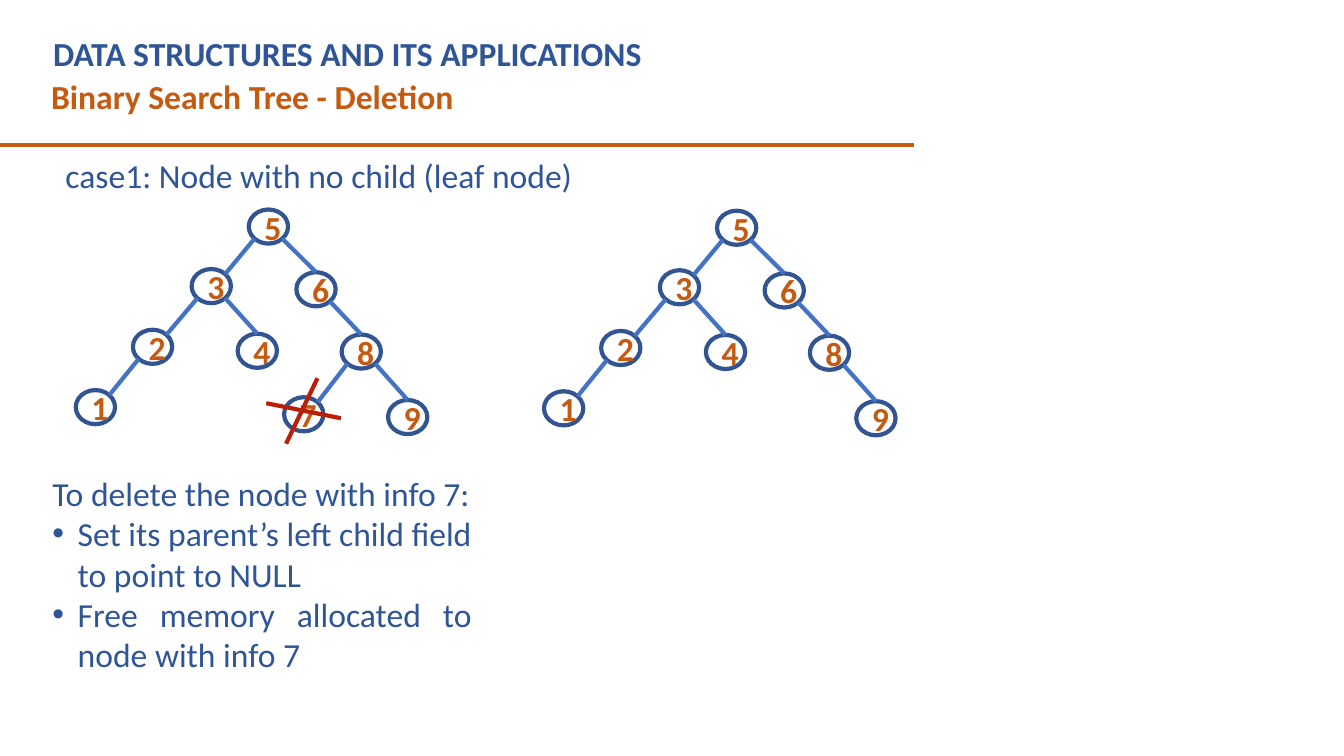
from lxml import etree
from pptx import Presentation
from pptx.dml.color import RGBColor
from pptx.enum.shapes import MSO_CONNECTOR, MSO_SHAPE
from pptx.enum.text import MSO_ANCHOR, PP_ALIGN
from pptx.oxml.ns import qn
from pptx.util import Cm, Pt

STRAIGHT = MSO_CONNECTOR.STRAIGHT
OVAL = MSO_SHAPE.OVAL
MIDDLE = MSO_ANCHOR.MIDDLE
LEFT, CENTER, JUSTIFY = PP_ALIGN.LEFT, PP_ALIGN.CENTER, PP_ALIGN.JUSTIFY

BLUE, ORANGE, RED = "2F5597", "C55A11", "B81F06"
NODE_LINE, EDGE = "325491", "4472C4"
NODE_WIDTH, NODE_HEIGHT = 0.99, 0.86
DIAGONAL = 0.354  # share of the node size from its centre to a 45° point

deck = Presentation()
deck.slide_width, deck.slide_height = Cm(33.87), Cm(19.05)
page = deck.slides.add_slide(deck.slide_layouts[6])


def write(frame, text, color=BLUE, bold=False, align=LEFT, spacing=None,
          hanging=0, bullet=False, new=False):
    """Put text into the first paragraph of the frame, or into a new one."""
    para = frame.add_paragraph() if new else frame.paragraphs[0]
    para.alignment = align
    if spacing:
        para.line_spacing = spacing
    properties = para._p.get_or_add_pPr()
    if hanging:
        properties.set("marL", str(Cm(hanging)))
        properties.set("indent", str(-Cm(hanging)))
    if bullet:
        etree.SubElement(properties, qn("a:buFont")).set("typeface", "Arial")
        etree.SubElement(properties, qn("a:buChar")).set("char", "•")
    span = para.add_run()
    span.text = text
    span.font.name, span.font.size, span.font.bold = "Calibri", Pt(24), bold
    span.font.color.rgb = RGBColor.from_string(color)


def add_line(x1, y1, x2, y2, color):
    line = page.shapes.add_connector(STRAIGHT, Cm(x1), Cm(y1), Cm(x2), Cm(y2))
    line.line.color.rgb = RGBColor.from_string(color)
    line.line.width = Pt(3)
    etree.SubElement(line._element.spPr, qn("a:effectLst"))


# Headings and case line
headings = [
    (1.09, 0.71, 20.83, "DATA STRUCTURES AND ITS APPLICATIONS", {"bold": True}),
    (1.04, 1.8, 22.23, "Binary Search Tree - Deletion",
     {"color": ORANGE, "bold": True}),
    (1.4, 3.4, 21.92, "case1: Node with no child (leaf node)",
     {"align": JUSTIFY, "spacing": 1.5}),
]
for left, top, width, text, style in headings:
    box = page.shapes.add_textbox(Cm(left), Cm(top), Cm(width), Cm(1.28))
    box.text_frame.word_wrap = True
    if "spacing" in style:
        box.text_frame.margin_top = box.text_frame.margin_bottom = 0
    write(box.text_frame, text, **style)
add_line(0, 3.66, 23.04, 3.66, ORANGE)

# Trees before and after the deletion
nodes = {
    5: (6.27, 5.28), 3: (4.83, 6.78), 6: (7.47, 6.86),
    2: (3.35, 8.31), 4: (5.99, 8.41), 8: (8.61, 8.43),
    1: (1.91, 9.83), 7: (7.16, 10.01), 9: (9.78, 10.08),
}
edges = [(5, 3), (5, 6), (3, 2), (3, 4), (6, 8), (2, 1), (8, 7), (8, 9)]
reach_x, reach_y = DIAGONAL * NODE_WIDTH, DIAGONAL * NODE_HEIGHT

for shift_x, shift_y, deleted in [(0, 0, None), (11.8, 0.03, 7)]:
    centers = {}
    for key, (left, top) in nodes.items():
        if key == deleted:
            continue
        left, top = left + shift_x, top + shift_y
        centers[key] = left + NODE_WIDTH / 2, top + NODE_HEIGHT / 2
        node = page.shapes.add_shape(
            OVAL, Cm(left), Cm(top), Cm(NODE_WIDTH), Cm(NODE_HEIGHT))
        node.shadow.inherit = False
        node.fill.solid()
        node.fill.fore_color.rgb = RGBColor.from_string("FFFFFF")
        node.line.color.rgb = RGBColor.from_string(NODE_LINE)
        node.line.width = Pt(3)
        node.text_frame.vertical_anchor = MIDDLE
        write(node.text_frame, str(key), color=ORANGE, bold=True, align=CENTER)
    for parent, child in edges:
        if child == deleted:
            continue
        (parent_x, parent_y), (child_x, child_y) = centers[parent], centers[child]
        if child < parent:
            add_line(parent_x - reach_x, parent_y + reach_y,
                     child_x + reach_x, child_y - reach_y, EDGE)
        else:
            add_line(parent_x + reach_x, parent_y + reach_y,
                     child_x, child_y - NODE_HEIGHT / 2, EDGE)

# Cross over the deleted node
add_line(7.21, 11.18, 8, 9.53, RED)
add_line(6.71, 10.16, 8.59, 10.54, RED)

# Deletion steps
steps = page.shapes.add_textbox(Cm(1.07), Cm(11.79), Cm(11.07), Cm(5.38)).text_frame
steps.word_wrap = True
write(steps, "To delete the node with info 7:", align=JUSTIFY, hanging=0.64)
for step in ("Set its parent’s left child field to point to NULL",
             "Free memory allocated to node with info 7"):
    write(steps, step, align=JUSTIFY, hanging=0.64, bullet=True, new=True)

deck.save("out.pptx")
